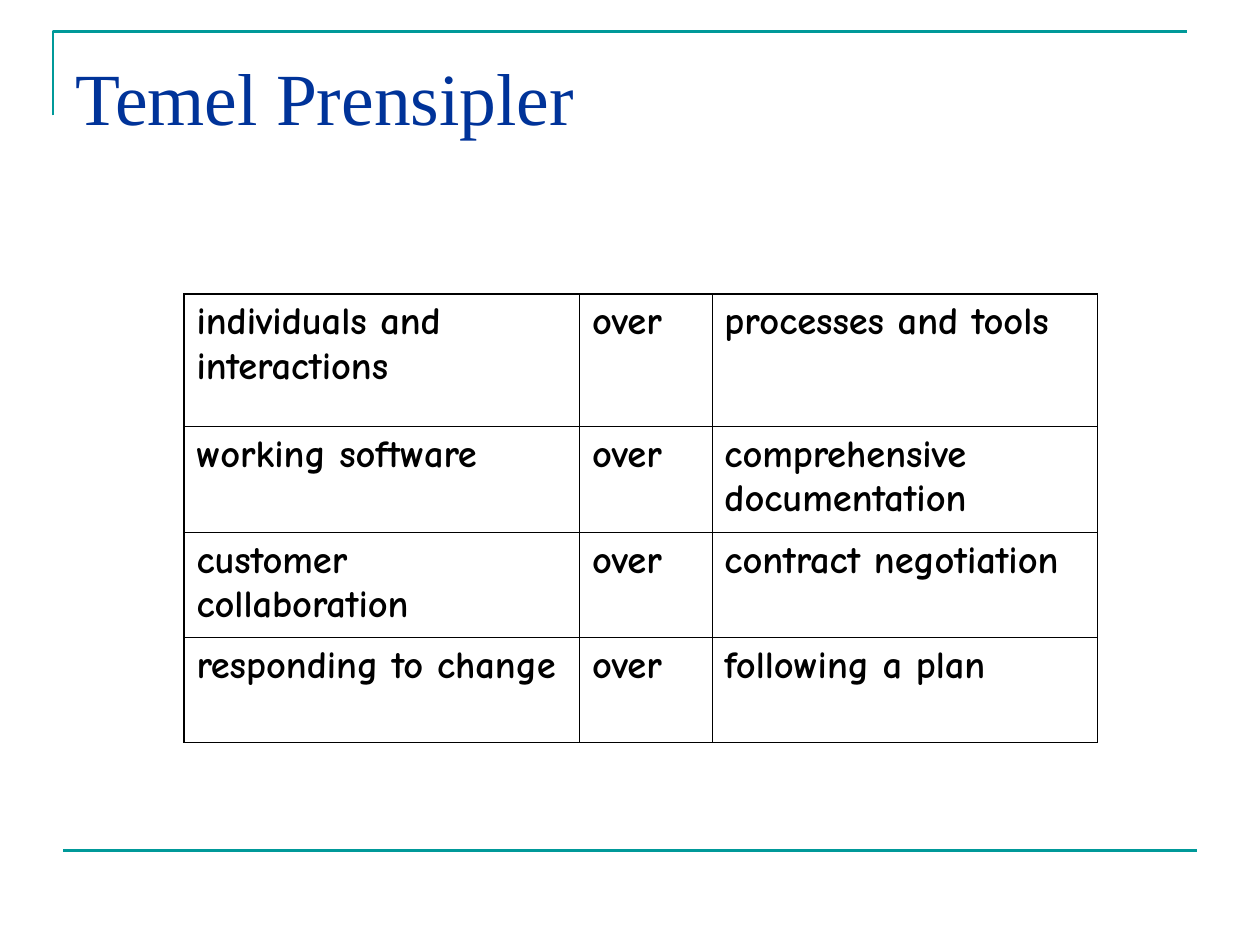
"""Build the slide of basic principles: a framed title above a table of four preferences."""
from dataclasses import dataclass

from lxml import etree
from pptx import Presentation
from pptx import util as u
from pptx.dml.color import RGBColor
from pptx.enum import shapes, text
from pptx.oxml.ns import qn

WIDTH, HEIGHT = u.Inches(10), u.Inches(7.5)
COLUMN_WIDTHS = (3.14, 1.05, 3.06)
ROW_HEIGHTS = (1.05, 0.84, 0.84, 0.83)
PRINCIPLES = (
    ("individuals and interactions", "processes and tools"),
    ("working software", "comprehensive documentation"),
    ("customer collaboration", "contract negotiation"),
    ("responding to change", "following a plan"),
)


@dataclass(frozen=True)
class Theme:
    """Colours, fonts, type sizes and line widths."""
    accent: str = "009999"
    title: str = "003399"
    ink: str = "000000"
    title_font: str = "Times New Roman"
    table_font: str = "Comic Neue"
    title_size: float = 42
    table_size: float = 22
    rule: float = 1.5
    outer_border: float = 1.08
    inner_border: float = 0.45


THEME = Theme()


def across(share):
    """Return a share of the slide width."""
    return round(WIDTH * share)


def down(share):
    """Return a share of the slide height."""
    return round(HEIGHT * share)


def style_font(paragraph, name, size, color, bold=False):
    """Set the typeface of a whole paragraph."""
    font = paragraph.font
    font.name, font.size, font.bold = name, u.Pt(size), bold
    font.color.rgb = RGBColor.from_string(color)


def style_rule(line):
    """Give a line the accent colour and width."""
    line.color.rgb = RGBColor.from_string(THEME.accent)
    line.width = u.Pt(THEME.rule)


def add_corner(slide, left, top, right, bottom):
    """Draw the open corner that frames the title."""
    builder = slide.shapes.build_freeform(left, bottom)
    builder.add_line_segments([(left, top), (right, top)], close=False)
    corner = builder.convert_to_shape()
    corner.shadow.inherit = False
    corner.fill.background()
    style_rule(corner.line)


def add_rule(slide, left, right, y):
    """Draw a horizontal rule."""
    rule = slide.shapes.add_connector(shapes.MSO_CONNECTOR.STRAIGHT, left, y, right, y)
    style_rule(rule.line)
    etree.SubElement(rule._element.spPr, qn("a:effectLst"))


def add_title(slide, wording, left, top, width, height):
    """Add the slide title."""
    frame = slide.shapes.add_textbox(left, top, width, height).text_frame
    frame.word_wrap = True
    frame.vertical_anchor = text.MSO_ANCHOR.TOP
    frame.margin_top = u.Inches(0.11)
    paragraph = frame.paragraphs[0]
    paragraph.text = wording
    style_font(paragraph, THEME.title_font, THEME.title_size, THEME.title)


def set_borders(cell, outer_sides):
    """Draw all four cell borders, heavier on the outer sides."""
    properties = cell._tc.get_or_add_tcPr()
    for index, side in enumerate("LRTB"):
        width = THEME.outer_border if side in outer_sides else THEME.inner_border
        border = etree.Element(qn(f"a:ln{side}"), w=str(u.Pt(width)))
        fill = etree.SubElement(border, qn("a:solidFill"))
        etree.SubElement(fill, qn("a:srgbClr"), val=THEME.ink)
        properties.insert(index, border)


def fill_cell(cell, wording, outer_sides):
    """Write and style one table cell."""
    cell.text = wording
    cell.fill.background()
    style_font(cell.text_frame.paragraphs[0], THEME.table_font, THEME.table_size,
               THEME.ink, bold=True)
    set_borders(cell, outer_sides)


def add_principles(slide, left, top):
    """Add the table of preferences."""
    rows, columns = len(ROW_HEIGHTS), len(COLUMN_WIDTHS)
    table = slide.shapes.add_table(rows, columns, left, top, u.Inches(sum(COLUMN_WIDTHS)),
                                   u.Inches(sum(ROW_HEIGHTS))).table
    table.first_row = table.horz_banding = False
    for column, width in zip(table.columns, COLUMN_WIDTHS):
        column.width = u.Inches(width)
    for r, (preferred, other) in enumerate(PRINCIPLES):
        table.rows[r].height = u.Inches(ROW_HEIGHTS[r])
        for c, wording in enumerate((preferred, "over", other)):
            edges = {"L": c == 0, "R": c == columns - 1, "T": r == 0, "B": r == rows - 1}
            fill_cell(table.cell(r, c), wording, [side for side in edges if edges[side]])


def main():
    """Build and save the slide."""
    presentation = Presentation()
    presentation.slide_width, presentation.slide_height = WIDTH, HEIGHT
    slide = presentation.slides.add_slide(presentation.slide_layouts[6])
    add_corner(slide, across(0.042), down(0.033), across(0.942), down(0.122))
    add_rule(slide, across(0.05), across(0.95), down(0.9))
    add_title(slide, "Temel Prensipler", across(0.05), down(0.04), across(0.9), down(0.17))
    add_principles(slide, across(0.146), down(0.311))
    presentation.save("out.pptx")


if __name__ == "__main__":
    main()
